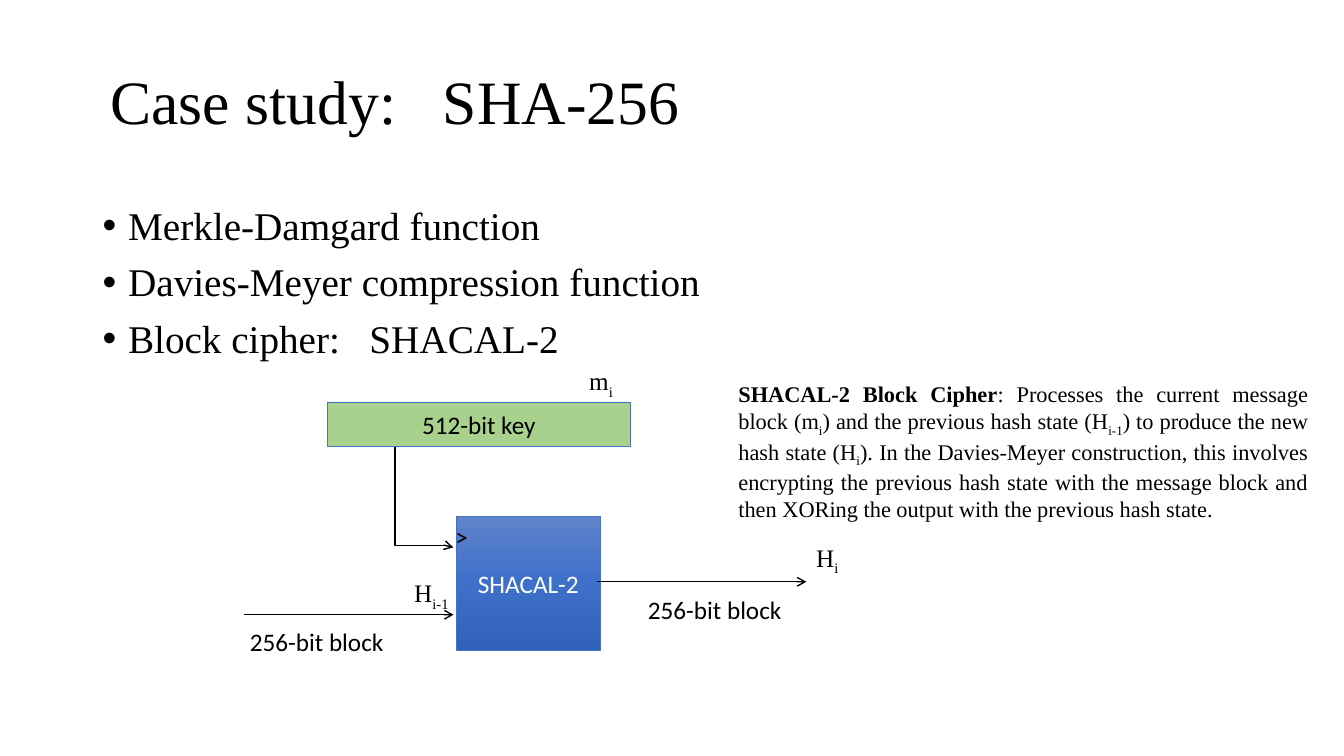
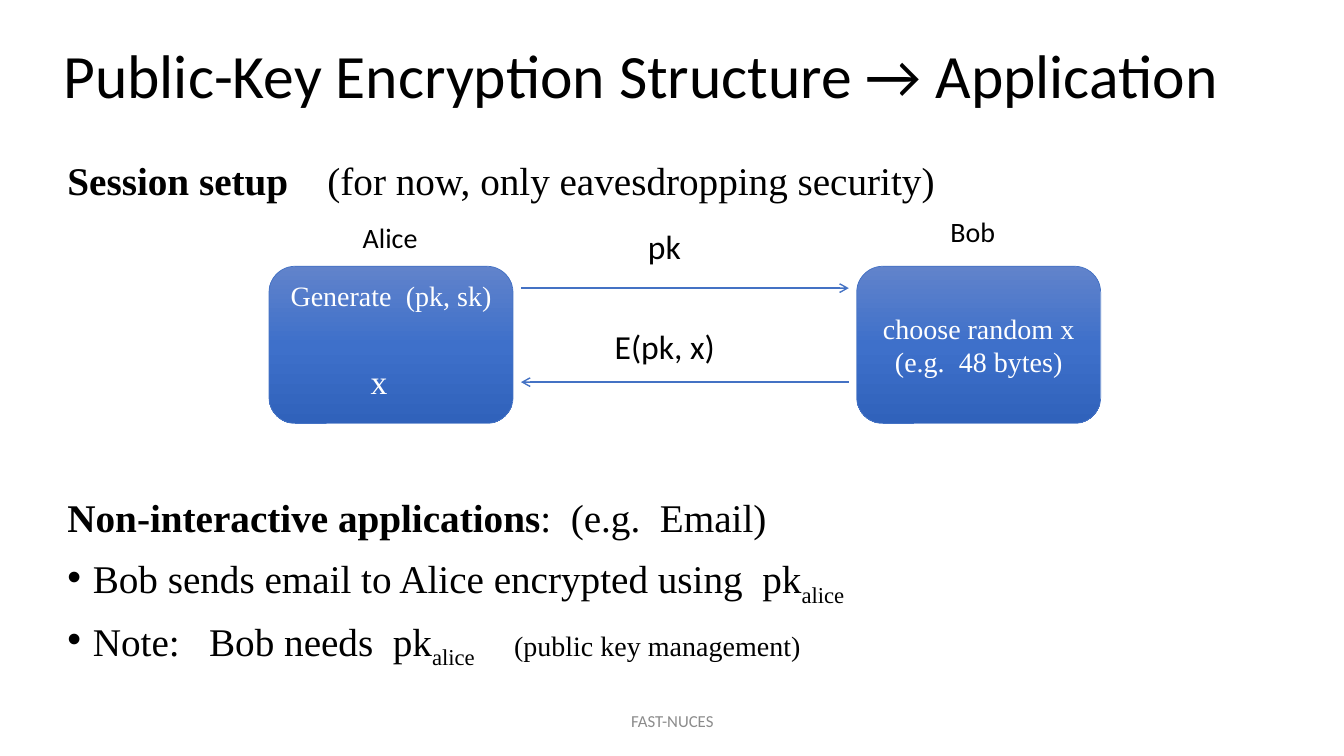
from copy import deepcopy
from dataclasses import dataclass

from lxml.etree import SubElement
from pptx import Presentation
from pptx.dml.color import RGBColor
from pptx.enum.shapes import MSO_CONNECTOR, MSO_SHAPE
from pptx.enum.text import MSO_ANCHOR, PP_ALIGN
from pptx.oxml.ns import qn
from pptx.util import Cm, Pt


@dataclass(frozen=True)
class Theme:
    serif: str = "Times New Roman"
    sans: str = "Calibri"
    black: str = "000000"
    white: str = "FFFFFF"
    grey: str = "8C8C8C"
    green: str = "A9D18E"
    blue: str = "4472C4"
    gradient: tuple = ((0, "6183CB"), (0.5, "3E70CA"), (1, "3062BB"))
    title: int = 44
    body: int = 28
    message: int = 24
    party: int = 20
    label: int = 18
    note: int = 16
    footer: int = 12
    tight: float = 0.9
    before: int = 10
    indent: float = 0.64


THEME = Theme()


@dataclass(frozen=True)
class Box:
    """A region in centimetres."""
    left: float
    top: float
    width: float
    height: float

    def area(self, dx, dy, width, height):
        return Box(self.left + dx, self.top + dy, width, height)

    def lengths(self):
        return [Cm(n) for n in (self.left, self.top, self.width, self.height)]


@dataclass(frozen=True)
class Piece:
    """A stretch of text with its own format."""
    text: str
    bold: bool = False
    lowered: bool = False
    spaces: int = 1
    size: int = 0


def bold(text):
    return Piece(text, bold=True)


def sub(text):
    return Piece(text, lowered=True)


def gap(spaces):
    return Piece(" ", spaces=spaces)


# Text

def apply(target, values):
    for name, value in values.items():
        setattr(target, name, value)


def add_piece(paragraph, piece, font, size, color):
    piece = Piece(piece) if isinstance(piece, str) else piece
    size = piece.size or size
    run = paragraph.add_run()
    run.text = piece.text
    apply(run.font, {"name": font, "size": Pt(size), "bold": piece.bold})
    run.font.color.rgb = RGBColor.from_string(color)
    properties = run.font._element
    if piece.lowered:
        properties.set("baseline", "-25000")
    if piece.spaces > 1:  # a serif space is a quarter of the type size
        properties.set("spc", str((piece.spaces - 1) * size * 25))


def add_bullet(paragraph):
    properties = paragraph._p.get_or_add_pPr()
    properties.set("marL", str(Cm(THEME.indent)))
    properties.set("indent", str(-Cm(THEME.indent)))
    SubElement(properties, qn("a:buFont")).set("typeface", "Arial")
    SubElement(properties, qn("a:buChar")).set("char", "•")


def write(shape, paragraphs, font, size, color=THEME.black, align=PP_ALIGN.LEFT,
          anchor=MSO_ANCHOR.TOP, wrap=True, spacing=None, before=0, bullets_from=None):
    frame = shape.text_frame
    apply(frame, {"word_wrap": wrap, "vertical_anchor": anchor})
    for index, pieces in enumerate(paragraphs):
        paragraph = frame.add_paragraph() if index else frame.paragraphs[0]
        if bullets_from is not None and index >= bullets_from:
            add_bullet(paragraph)
        apply(paragraph, {"alignment": align, "line_spacing": spacing})
        if index and before:
            paragraph.space_before = Pt(before)
        for piece in pieces:
            add_piece(paragraph, piece, font, size, color)


def add_text(slide, box, paragraphs, font, size, **layout):
    write(slide.shapes.add_textbox(*box.lengths()), paragraphs, font, size, **layout)


def add_label(slide, box, pieces, font, size, color=THEME.black):
    add_text(slide, box, [pieces], font, size, color=color, wrap=False)


def add_title(slide, box, pieces, font):
    add_text(slide, box, [pieces], font, THEME.title,
             anchor=MSO_ANCHOR.MIDDLE, spacing=THEME.tight)


def add_body(slide, box, paragraphs, bullets_from=None):
    add_text(slide, box, paragraphs, THEME.serif, THEME.body, spacing=THEME.tight,
             before=THEME.before, bullets_from=bullets_from)


# Blocks and arrows

def add_block(slide, box, paragraphs, font, size, color, preset=MSO_SHAPE.RECTANGLE,
              fill=None, anchor=MSO_ANCHOR.MIDDLE):
    block = slide.shapes.add_shape(preset, *box.lengths())
    block.shadow.inherit = False
    block.line.color.rgb = RGBColor.from_string(THEME.blue)
    block.line.width = Pt(0.5)
    if fill:
        block.fill.solid()
        block.fill.fore_color.rgb = RGBColor.from_string(fill)
    else:
        block.fill.gradient()
        block.fill.gradient_angle = 270
        stops = block._element.spPr.find(".//" + qn("a:gsLst"))
        stops.append(deepcopy(stops[0]))
        for stop, (position, shade) in zip(block.fill.gradient_stops, THEME.gradient):
            stop.position = position
            stop.color.rgb = RGBColor.from_string(shade)
    write(block, paragraphs, font, size, color=color, align=PP_ALIGN.CENTER, anchor=anchor)


def add_arrow(slide, box, color, kind=MSO_CONNECTOR.STRAIGHT):
    """Draw an arrow across the box; a negative width points left."""
    left, top, width, height = box.lengths()
    arrow = slide.shapes.add_connector(kind, left, top, left + width, top + height)
    arrow.line.color.rgb = RGBColor.from_string(color)
    arrow.line.width = Pt(1)
    outline = arrow.line._get_or_add_ln()
    SubElement(outline, qn("a:tailEnd")).set("type", "arrow")
    SubElement(arrow._element.spPr, qn("a:effectLst"))
    return arrow


def add_down_right_arrow(slide, box, color):
    """Draw an elbow turned to run down first, then right."""
    elbow = add_arrow(slide, box, color, MSO_CONNECTOR.ELBOW)
    properties = elbow._element.spPr
    frame = properties.find(qn("a:xfrm"))
    frame.set("rot", "16200000")
    frame.set("flipH", "1")
    guides = properties.find(qn("a:prstGeom")).get_or_add_avLst()
    guide = SubElement(guides, qn("a:gd"))
    guide.set("name", "adj1")
    guide.set("fmla", "val 98100")


# Slide 1: the compression function

def draw_compression(slide, box):
    serif, sans, size = THEME.serif, THEME.sans, THEME.label
    # Key and cipher
    add_block(slide, box.area(2.21, 1.04, 7.62, 1.12), [["512-bit key"]],
              sans, size, THEME.black, fill=THEME.green)
    add_block(slide, box.area(5.46, 3.91, 3.61, 3.38), [["SHACAL-2"]],
              sans, size, THEME.white)
    add_down_right_arrow(slide, box.area(3.37, 2.7, 2.54, 1.47), THEME.black)
    # Input and output blocks
    for x, y, label_shift in ((0.1, 6.4, -0.1), (8.99, 5.57, 1.04)):
        add_arrow(slide, box.area(x, y, 5.28, 0), THEME.black)
        add_label(slide, box.area(x + label_shift, y + 0.18, 3.91, 1.02),
                  ["256-bit block"], sans, size)
    # Symbols
    symbols = (
        (5.18, 3.91, 0.84, [">"], sans),
        (4.14, 5.34, 1.45, ["H", sub("i-1")], serif),
        (14.27, 4.45, 1.09, ["H", sub("i")], serif),
        (8.55, 0, 1.14, ["m", sub("i")], serif),
    )
    for x, y, width, pieces, font in symbols:
        add_label(slide, box.area(x, y, width, 1.02), pieces, font, size)


def build_case_study(slide):
    add_title(slide, Box(2.54, 1.47, 21.59, 2.34),
              ["Case study:", gap(3), "SHA-256"], THEME.serif)
    add_body(slide, Box(2.34, 5.08, 29.21, 12.09), [
        ["Merkle-Damgard function"],
        ["Davies-Meyer compression function"],
        ["Block cipher:", gap(3), "SHACAL-2"],
    ], bullets_from=0)
    draw_compression(slide, Box(6.05, 9.09, 15.4, 7.6))
    # Explanation
    add_text(slide, Box(18.36, 9.19, 14.86, 4.37), [[
        bold("SHACAL-2 Block Cipher"),
        ": Processes the current message block (m", sub("i"),
        ") and the previous hash state (H", sub("i-1"),
        ") to produce the new hash state (H", sub("i"),
        "). In the Davies-Meyer construction, this involves encrypting the previous "
        "hash state with the message block and then XORing the output with the "
        "previous hash state.",
    ]], THEME.serif, THEME.note, align=PP_ALIGN.JUSTIFY, anchor=MSO_ANCHOR.MIDDLE)


# Slide 2: the key exchange

def draw_exchange(slide, box):
    party_width, party_top, clearance = 6.15, 1.43, 0.2
    bob_left = box.width - party_width
    # Parties
    parties = (
        ("Alice", 0, 0.16, 1.9, MSO_ANCHOR.TOP,
         [["Generate", gap(2), "(pk, sk)"]]),
        ("Bob", bob_left, 0, 1.65, MSO_ANCHOR.MIDDLE,
         [["choose random x"], ["(e.g.", gap(2), "48 bytes)"]]),
    )
    for name, x, name_top, name_width, anchor, action in parties:
        add_block(slide, box.area(x, party_top, party_width, box.height - party_top),
                  action, THEME.serif, THEME.party, THEME.white,
                  preset=MSO_SHAPE.ROUNDED_RECTANGLE, anchor=anchor)
        add_label(slide, box.area(x + 2.11, name_top, name_width, 1.12),
                  [name], THEME.sans, THEME.party)
    # Messages
    start, end = party_width + clearance, bob_left - clearance
    messages = (
        ("pk", start, end, 1.98, 9.3, 0.28, 1.35),
        ("E(pk, x)", end, start, 4.35, 8.46, 2.82, 3.05),
    )
    for message, origin, target, y, x, top, width in messages:
        add_arrow(slide, box.area(origin, y, target - origin, 0), THEME.blue)
        add_label(slide, box.area(x, top, width, 1.27), [message],
                  THEME.sans, THEME.message)
    # Recovered value
    add_label(slide, box.area(2.31, 3.69, 0.94, 1.27), ["x"],
              THEME.serif, THEME.message, THEME.white)


def build_public_key(slide):
    add_title(slide, Box(1.35, 0.13, 30.86, 3.68),
              ["Public-Key Encryption Structure → Application"], THEME.sans)
    add_body(slide, Box(1.45, 3.94, 31.34, 1.4), [
        [bold("Session setup"), gap(4), "(for now, only eavesdropping security)"],
    ])
    draw_exchange(slide, Box(6.78, 5.28, 20.96, 5.39))
    add_body(slide, Box(1.45, 12.45, 31.34, 4.5), [
        [bold("Non-interactive applications"), ":", gap(2), "(e.g.", gap(2), "Email)"],
        ["Bob sends email to Alice encrypted using", gap(2), "pk", sub("alice")],
        ["Note:", gap(3), "Bob needs", gap(2), "pk", sub("alice"), gap(4),
         Piece("(public key management)", size=THEME.party)],
    ], bullets_from=1)
    # Footer
    add_text(slide, Box(11.23, 17.65, 11.43, 1.02), [["FAST-NUCES"]],
             THEME.sans, THEME.footer, color=THEME.grey,
             align=PP_ALIGN.CENTER, anchor=MSO_ANCHOR.MIDDLE)


def main():
    deck = Presentation()
    apply(deck, {"slide_width": Cm(33.87), "slide_height": Cm(19.05)})
    for build in (build_case_study, build_public_key):
        build(deck.slides.add_slide(deck.slide_layouts[6]))
    deck.save("out.pptx")


if __name__ == "__main__":
    main()
